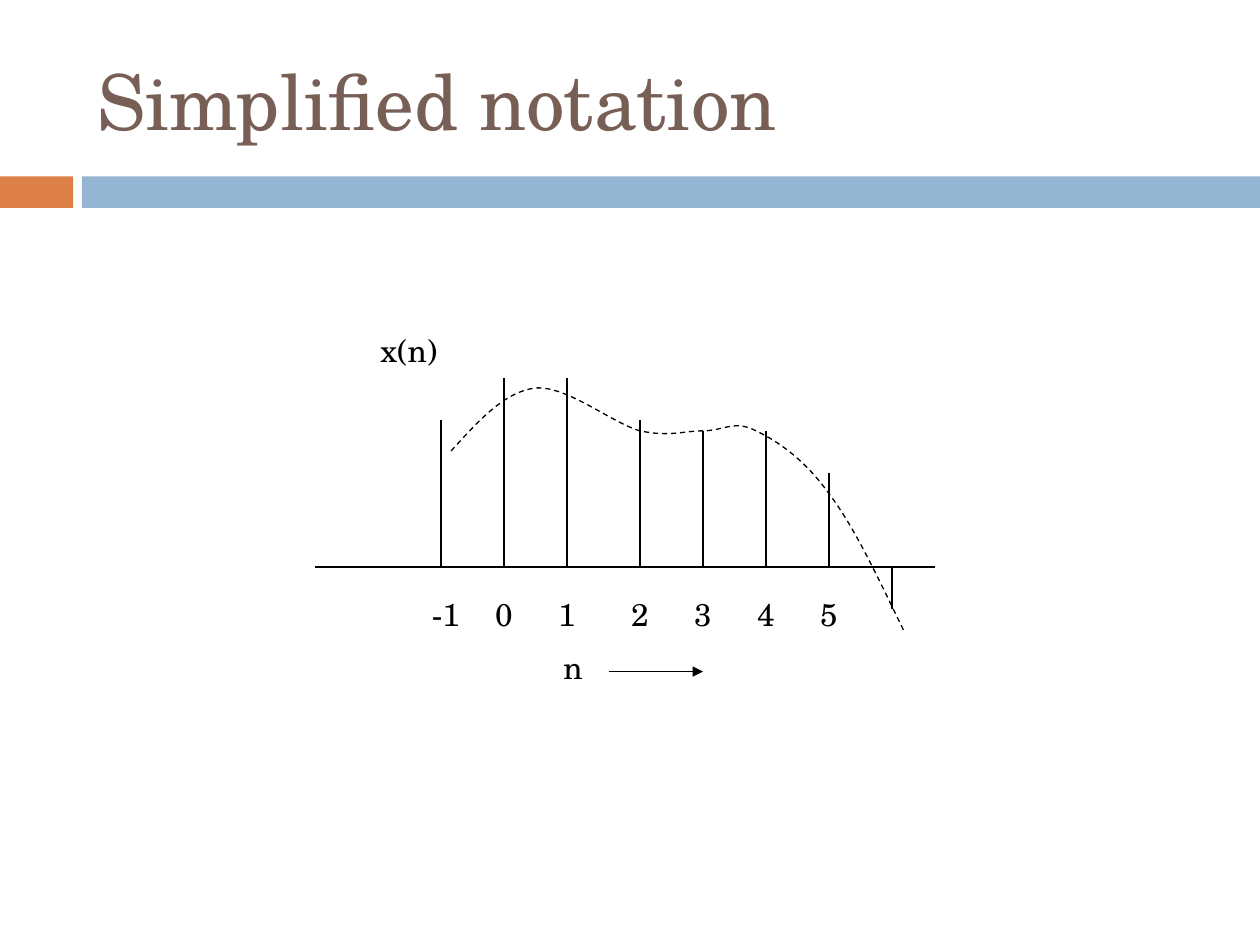
"""Build a slide showing a sampled signal x(n) with its dashed envelope."""
from dataclasses import dataclass

from lxml.etree import SubElement
from pptx import Presentation
from pptx.dml.color import RGBColor
from pptx.enum.dml import MSO_LINE
from pptx.enum.shapes import MSO_CONNECTOR, MSO_SHAPE
from pptx.enum.text import MSO_ANCHOR, MSO_AUTO_SIZE, PP_ALIGN
from pptx.oxml.ns import qn
from pptx.util import Inches, Pt


@dataclass(frozen=True)
class Theme:
    font: str = "TeX Gyre Schola"
    ink: RGBColor = RGBColor(0x00, 0x00, 0x00)
    title: RGBColor = RGBColor(0x77, 0x5F, 0x55)
    orange: RGBColor = RGBColor(0xDD, 0x80, 0x47)
    blue: RGBColor = RGBColor(0x94, 0xB6, 0xD2)
    title_size: int = 44
    label_size: int = 18
    line_width: float = 0.75


TITLE = "Simplified notation"
SIGNAL = "x(n)"
VARIABLE = "n"
SAMPLES = [("-1", 3.5, 3.33), ("0", 4, 3), ("1", 4.5, 3), ("2", 5.08, 3.33),
           ("3", 5.58, 3.42), ("4", 6.08, 3.42), ("5", 6.58, 3.75), ("", 7.08, 4.83)]
ENVELOPE = [(3.58, 3.58),
            (3.79, 3.35), (4, 3.11), (4.25, 3.08),
            (4.5, 3.06), (4.86, 3.36), (5.08, 3.42),
            (5.31, 3.47), (5.43, 3.42), (5.58, 3.42),
            (5.74, 3.42), (5.83, 3.33), (6, 3.42),
            (6.17, 3.5), (6.39, 3.65), (6.58, 3.92),
            (6.78, 4.18), (6.97, 4.59), (7.17, 5)]
AXIS_Y = 4.5
LABEL_LEFT = 3.33
INSET = 0.1
BARS = [(0, 0.58, Theme.orange), (0.65, 9.35, Theme.blue)]


def add_bar(s, left, width, color):
    sp = s.shapes.add_shape(MSO_SHAPE.RECTANGLE, Inches(left), Inches(1.4),
                            Inches(width), Inches(0.25))
    sp.shadow.inherit = False
    sp.fill.solid()
    sp.fill.fore_color.rgb = color
    sp.line.fill.background()


def style_line(sp):
    sp.line.color.rgb = Theme.ink
    sp.line.width = Pt(Theme.line_width)


def add_line(s, x1, y1, x2, y2, arrow=False):
    sp = s.shapes.add_connector(MSO_CONNECTOR.STRAIGHT, Inches(x1), Inches(y1),
                                Inches(x2), Inches(y2))
    style_line(sp)
    if arrow:
        SubElement(sp.line._get_or_add_ln(), qn("a:tailEnd"), type="triangle")
    SubElement(sp._element.spPr, qn("a:effectLst"))


def add_curve(s, points):
    start, *rest = [(Inches(x), Inches(y)) for x, y in points]
    fb = s.shapes.build_freeform(*start)
    fb.add_line_segments(rest, close=False)
    sp = fb.convert_to_shape()
    sp.shadow.inherit = False
    sp.fill.background()
    style_line(sp)
    sp.line.dash_style = MSO_LINE.DASH
    outline = next(sp._element.iter(qn("a:path")))
    segments = outline.findall(qn("a:lnTo"))
    for i in range(0, len(segments), 3):
        bezier = SubElement(outline, qn("a:cubicBezTo"))
        for segment in segments[i:i + 3]:
            bezier.append(segment[0])
            outline.remove(segment)


def write(p, text, size, color):
    r = p.add_run()
    r.text = text
    r.font.name = Theme.font
    r.font.size = Pt(size)
    r.font.color.rgb = color


def add_text_box(s, left, top, width, height):
    sp = s.shapes.add_textbox(Inches(left), Inches(top), Inches(width), Inches(height))
    tf = sp.text_frame
    tf.word_wrap = True
    return tf


def add_center_tabs(p, centers):
    tabs = SubElement(p._p.get_or_add_pPr(), qn("a:tabLst"))
    for x in centers:
        SubElement(tabs, qn("a:tab"), pos=str(Inches(x - LABEL_LEFT - INSET)), algn="ctr")


def add_title(s):
    sp = s.shapes.title
    sp.left, sp.top, sp.width, sp.height = map(Inches, (0.67, 0.25, 8.92, 1.08))
    tf = sp.text_frame
    tf.auto_size = MSO_AUTO_SIZE.NONE
    tf.vertical_anchor = MSO_ANCHOR.MIDDLE
    p = tf.paragraphs[0]
    p.alignment = PP_ALIGN.LEFT
    write(p, TITLE, Theme.title_size, Theme.title)


def add_labels(s):
    tf = add_text_box(s, LABEL_LEFT, 4.67, 3.92, 0.85)
    named = [(label, x) for label, x, _ in SAMPLES if label]
    p = tf.paragraphs[0]
    add_center_tabs(p, [x for _, x in named[1:]])
    write(p, "\t".join(label for label, _ in named), Theme.label_size, Theme.ink)
    p = tf.add_paragraph()
    p.space_before = Pt(9)
    add_center_tabs(p, [4.55])
    write(p, "\t" + VARIABLE, Theme.label_size, Theme.ink)
    tf = add_text_box(s, 2.92, 2.58, 0.92, 0.4)
    write(tf.paragraphs[0], SIGNAL, Theme.label_size, Theme.ink)


def main():
    prs = Presentation()
    prs.slide_width, prs.slide_height = Inches(10), Inches(7.5)
    s = prs.slides.add_slide(prs.slide_layouts[5])
    for bar in BARS:
        add_bar(s, *bar)
    add_title(s)
    add_line(s, 2.5, AXIS_Y, 7.42, AXIS_Y)
    add_curve(s, ENVELOPE)
    add_labels(s)
    for _, x, y in SAMPLES:
        add_line(s, x, AXIS_Y, x, y)
    add_line(s, 4.83, 5.33, 5.58, 5.33, arrow=True)
    prs.save("out.pptx")


if __name__ == "__main__":
    main()
